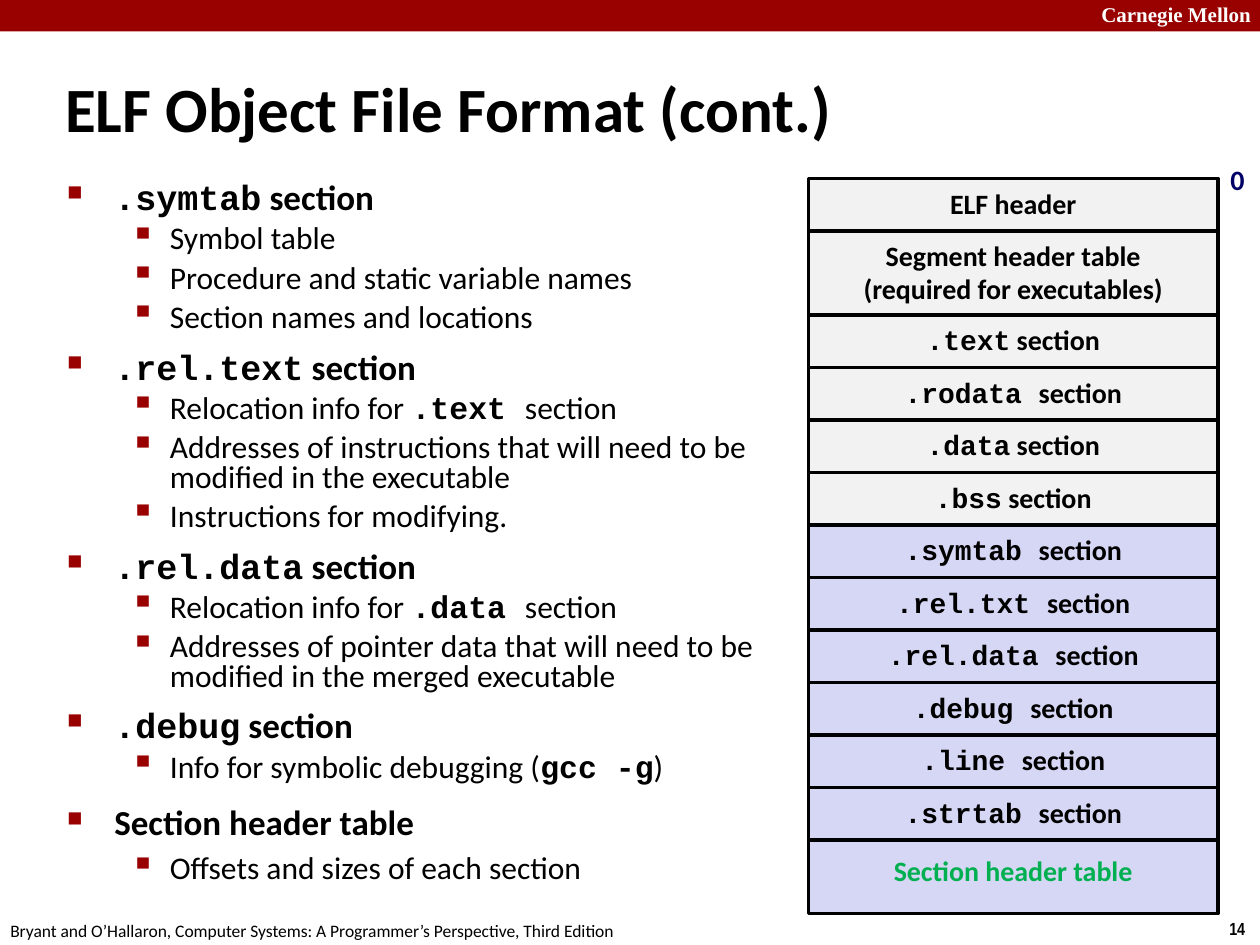
"""Build the slide on the ELF object file format."""
from dataclasses import dataclass

import lxml.etree
import pptx
import pptx.dml.color
import pptx.enum.shapes
import pptx.enum.text
import pptx.oxml.ns
import pptx.util

SCALE = 7620
BLACK, WHITE, RED = "000000", "FFFFFF", "990000"
GRAY, BLUE, GREEN, NAVY = "F2F2F2", "D6D6F5", "00B050", "000066"
ALIGN = pptx.enum.text.PP_ALIGN
ANCHOR = pptx.enum.text.MSO_ANCHOR


@dataclass
class Row:
    text: str
    fill: str = BLUE
    height: int = 50
    color: str = BLACK


@dataclass
class Item:
    text: str
    level: int = 1
    space: float = 0.78


@dataclass
class Style:
    size: int
    bold: bool
    before: float
    left: int
    hang: int
    mark: str
    scale: int


STYLES = [
    Style(20, True, 12.5, 45, 45, "■", 60),
    Style(18, False, 5.6, 98, 38, "▪", 110),
]

ITEMS = [
    Item("`.symtab` section", 0, 0.71),
    Item("Symbol table"),
    Item("Procedure and static variable names"),
    Item("Section names and locations"),
    Item("`.rel.text` section", 0, 0.71),
    Item("Relocation info for `.text `section"),
    Item("Addresses of instructions that will need to be modified in the executable"),
    Item("Instructions for modifying."),
    Item("`.rel.data` section", 0, 0.71),
    Item("Relocation info for `.data `section"),
    Item("Addresses of pointer data that will need to be modified in the merged executable"),
    Item("`.debug` section", 0, 0.71),
    Item("Info for symbolic debugging (`gcc -g`)"),
    Item("Section header table", 0, 0.88),
    Item("Offsets and sizes of each section", 1, 0.88),
]

ROWS = [
    Row("ELF header", GRAY),
    Row("Segment header table\n(required for executables)", GRAY, 80),
    Row("`.text` section", GRAY),
    Row("`.rodata `section", GRAY),
    Row("`.data` section", GRAY),
    Row("`.bss` section", GRAY),
    Row("`.symtab `section"),
    Row("`.rel.txt `section"),
    Row("`.rel.data `section"),
    Row("`.debug `section"),
    Row("`.line `section"),
    Row("`.strtab `section"),
]


def px(*sizes: int) -> list:
    """Turn px into EMU."""
    return [pptx.util.Emu(size * SCALE) for size in sizes]


def paint(part, color: str) -> None:
    """Give a fill a solid colour, or a font its colour."""
    if hasattr(part, "solid"):
        part.solid()
        part = part.fore_color
    part.rgb = pptx.dml.color.RGBColor.from_string(color)


def write(para, text: str, *, size: int, font: str = "Calibri", color: str = BLACK,
          bold: bool = False, align=ALIGN.LEFT, space: float = 1.0) -> None:
    """Fill a paragraph, with text between backticks set as bold code."""
    para.alignment = align
    para.line_spacing = space
    for index, part in enumerate(text.split("`")):
        if part:
            code = index % 2 == 1
            run = para.add_run()
            run.text = part
            run.font.size = pptx.util.Pt(size)
            run.font.name = "Courier New" if code else font
            run.font.bold = bold or code
            paint(run.font.color, color)


def label(slide, box: tuple, text: str, **style) -> None:
    """Add one line of text that does not wrap."""
    frame = slide.shapes.add_textbox(*px(*box)).text_frame
    frame.word_wrap = False
    write(frame.paragraphs[0], text, **style)


def block(slide, box: tuple, fill: str):
    """Add a plain filled box."""
    shape = slide.shapes.add_shape(pptx.enum.shapes.MSO_SHAPE.RECTANGLE, *px(*box))
    shape.shadow.inherit = False
    paint(shape.fill, fill)
    shape.line.fill.background()
    return shape


def cell(slide, row: Row, top: int) -> None:
    """Draw one part of the file stack."""
    shape = block(slide, (770, top, 390, row.height), row.fill)
    paint(shape.line.fill, BLACK)
    shape.line.width = pptx.util.Pt(2)
    frame = shape.text_frame
    frame.word_wrap = False
    frame.vertical_anchor = ANCHOR.MIDDLE
    for index, line in enumerate(row.text.split("\n")):
        para = frame.add_paragraph() if index else frame.paragraphs[0]
        write(para, line, size=16, bold=True, color=row.color, align=ALIGN.CENTER,
              space=0.94 if "`" in line else 0.98)


def bullet(para, style: Style) -> None:
    """Give a paragraph its mark and indent."""
    props = para._p.get_or_add_pPr()
    left, hang = px(style.left, style.hang)
    props.set("marL", str(left))
    props.set("indent", str(-hang))

    def add(parent, tag: str, **attrs: str):
        return lxml.etree.SubElement(parent, pptx.oxml.ns.qn(tag), attrs)

    add(add(props, "a:buClr"), "a:srgbClr", val=RED)
    add(props, "a:buSzPct", val=str(style.scale * 1000))
    add(props, "a:buChar", char=style.mark)


def outline(slide) -> None:
    """Write the list of sections."""
    frame = slide.shapes.add_textbox(*px(52, 172, 692, 718)).text_frame
    frame.word_wrap = True
    for index, item in enumerate(ITEMS):
        para = frame.add_paragraph() if index else frame.paragraphs[0]
        style = STYLES[item.level]
        para.level = item.level
        bullet(para, style)
        if index:
            para.space_before = pptx.util.Pt(style.before)
        write(para, item.text, size=style.size, bold=style.bold, space=item.space)


def stack(slide) -> None:
    """Draw the file layout, its last part tucked under the one above."""
    cell(slide, Row("Section header table", height=80, color=GREEN), 790)
    top = 170
    for row in ROWS:
        cell(slide, row, top)
        top += row.height


def main() -> None:
    """Make and save the slide."""
    deck = pptx.Presentation()
    deck.slide_width, deck.slide_height = px(1200, 900)
    slide = deck.slides.add_slide(deck.slide_layouts[5])

    title = slide.shapes.title
    title.left, title.top, title.width, title.height = px(50, 50, 1144, 104)
    title.text_frame.auto_size = pptx.enum.text.MSO_AUTO_SIZE.NONE
    title.text_frame.vertical_anchor = ANCHOR.MIDDLE
    write(title.text_frame.paragraphs[0], "ELF Object File Format (cont.)", size=36, bold=True)

    block(slide, (0, 0, 1200, 30), RED)
    label(slide, (1037, -4, 172, 36), "Carnegie Mellon", size=12,
          font="Times New Roman", color=WHITE, bold=True)
    label(slide, (1159, 868, 41, 32), "14", size=10, font="Arial Narrow", bold=True)
    label(slide, (-2, 870, 610, 32), "Bryant and O’Hallaron, Computer Systems: "
          "A Programmer’s Perspective, Third Edition", size=10)
    outline(slide)
    stack(slide)
    label(slide, (1160, 150, 37, 44), "0", size=16, color=NAVY, bold=True, space=0.98)
    deck.save("out.pptx")


if __name__ == "__main__":
    main()
